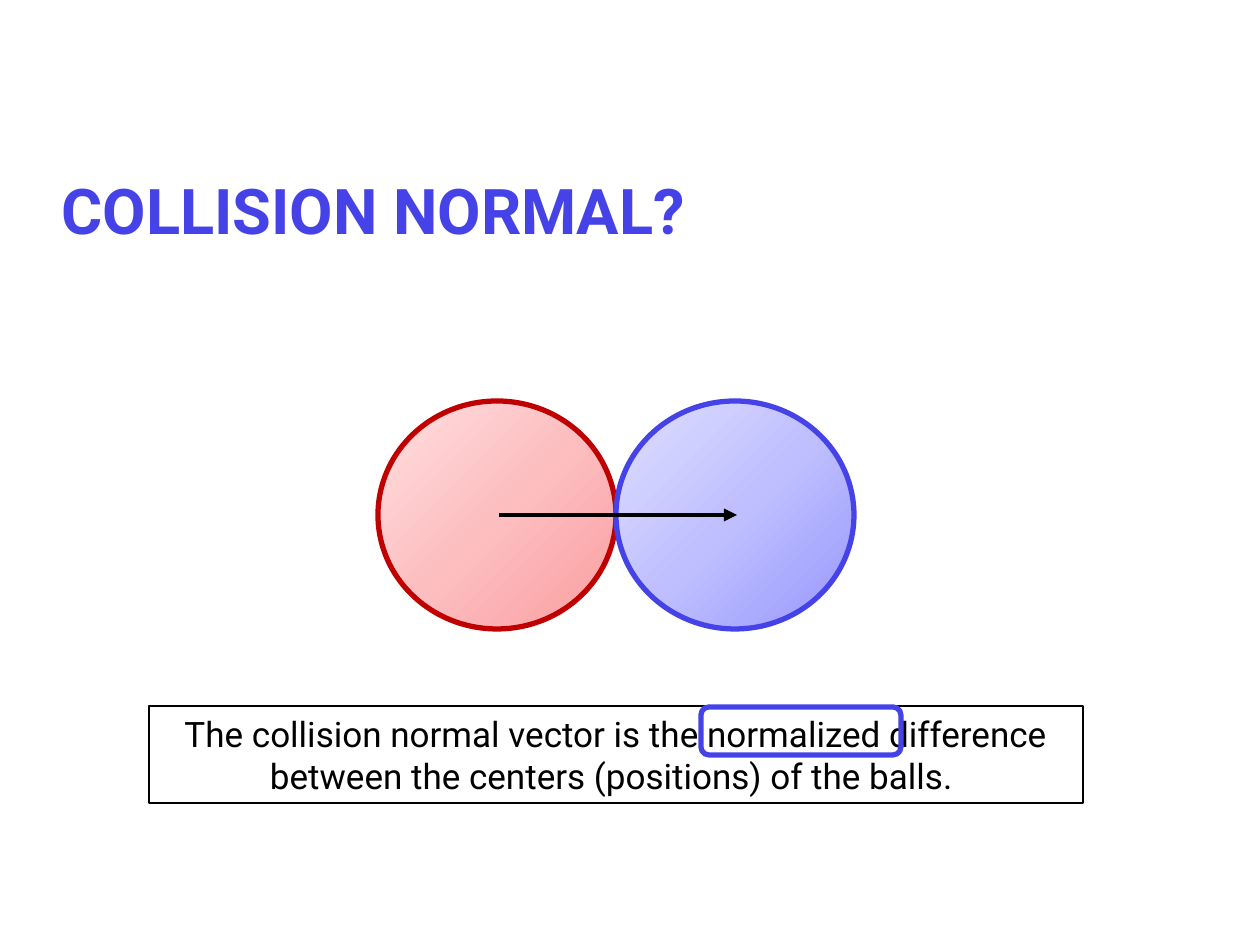
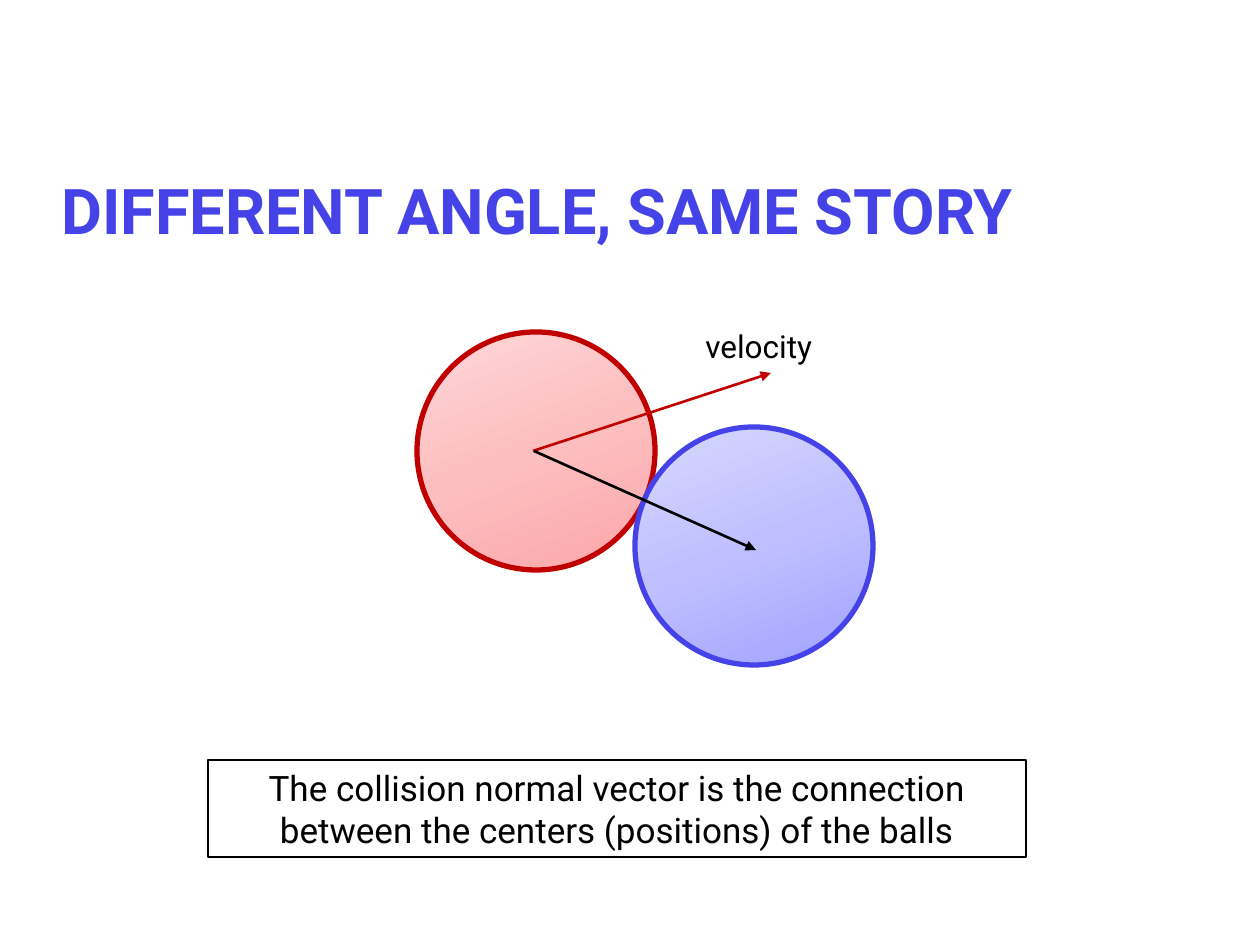
import copy

import pptx
import pptx.dml.color
import pptx.enum.shapes
import pptx.enum.text
import pptx.oxml.ns
import pptx.util
import lxml.etree

KIND = pptx.enum.shapes.MSO_SHAPE
ALIGN = pptx.enum.text.PP_ALIGN
ANCHOR = pptx.enum.text.MSO_ANCHOR
FONT = "Roboto"
BLACK, BLUE, RED = "000000", "4543E8", "C00000"
PINKS = ("FB9EA1", "FDBEC0", "FEDFE0")
LILACS = ("9797FF", "BFBFFF", "DFDFFF")


def px(*sizes):
    """Turn pixels, 126 to the inch, into EMU."""
    return [pptx.util.Emu(round(size * 914400 / 126)) for size in sizes]


def hue(code):
    """Turn a hex string into a colour."""
    return pptx.dml.color.RGBColor.from_string(code)


def sub(node, tag, **attrs):
    """Add a drawing element under a node."""
    return lxml.etree.SubElement(node, pptx.oxml.ns.qn(tag), **attrs)


def edge(line, color, width):
    """Set the colour and width of a line."""
    line.color.rgb = hue(color)
    line.width = pptx.util.Pt(width)


def write(shape, text, size=20, color=BLACK, bold=False, align=ALIGN.LEFT,
          anchor=ANCHOR.TOP, wrap=True):
    """Put formatted text into a shape."""
    body = shape.text_frame
    body.word_wrap = wrap
    body.vertical_anchor = anchor
    para = body.paragraphs[0]
    para.alignment = align
    run = para.add_run()
    run.text = text
    run.font.name = FONT
    run.font.size = pptx.util.Pt(size)
    run.font.bold = bold
    run.font.color.rgb = hue(color)


def label(slide, box, text, **style):
    """Add a text box."""
    write(slide.shapes.add_textbox(*px(*box)), text, **style)


def title(slide, text):
    """Add the slide title."""
    label(slide, (49, 130, 1134, 158), text, size=36, color=BLUE, bold=True,
          anchor=ANCHOR.MIDDLE)


def frame(slide, kind, box, color, width):
    """Add an unfilled shape with an outline."""
    shape = slide.shapes.add_shape(kind, *px(*box))
    shape.shadow.inherit = False
    shape.fill.background()
    edge(shape.line, color, width)
    return shape


def note(slide, box, text):
    """Add a framed, centred statement."""
    write(frame(slide, KIND.RECTANGLE, box, BLACK, 0.75), text,
          align=ALIGN.CENTER)


def ball(slide, box, color, shades, turn=0):
    """Add a ball that shades from dark at lower right to light."""
    shape = frame(slide, KIND.OVAL, box, color, 3)
    shape.rotation = turn
    shape.fill.gradient()
    shape.fill.gradient_angle = 135
    stops = next(shape.element.iter(pptx.oxml.ns.qn("a:gsLst")))
    stops.append(copy.deepcopy(stops[0]))
    for i, (stop, shade) in enumerate(zip(shape.fill.gradient_stops, shades)):
        stop.position = i / 2
        stop.color.rgb = hue(shade)


def arrow(slide, start, end, color=BLACK, width=1.5):
    """Add a straight arrow."""
    line = slide.shapes.add_connector(
        pptx.enum.shapes.MSO_CONNECTOR.STRAIGHT, *px(*start, *end))
    edge(line.line, color, width)
    props = line.element.spPr
    sub(props.find(pptx.oxml.ns.qn("a:ln")), "a:tailEnd", type="triangle")
    sub(props, "a:effectLst")


def normal(slide):
    """Draw the slide on the collision normal."""
    title(slide, "COLLISION NORMAL?")
    ball(slide, (378, 401, 238, 228), RED, PINKS)
    ball(slide, (616, 401, 238, 228), BLUE, LILACS)
    arrow(slide, (499, 515), (737, 515), width=2.5)
    note(slide, (149, 706, 934, 97),
         "The collision normal vector is the normalized difference "
         "between the centers (positions) of the balls. ")
    frame(slide, KIND.ROUNDED_RECTANGLE, (701, 707, 200, 48), BLUE, 3)


def angle(slide):
    """Draw the slide on a slanted collision."""
    title(slide, "DIFFERENT ANGLE, SAME STORY")
    ball(slide, (417, 332, 238, 238), RED, PINKS, turn=23.5)
    ball(slide, (635, 427, 238, 238), BLUE, LILACS, turn=23.5)
    arrow(slide, (533, 451), (771, 373), color=RED)
    label(slide, (693, 321, 140, 53), "velocity", size=18, wrap=False)
    arrow(slide, (534, 451), (756, 550))
    note(slide, (208, 760, 818, 97),
         "The collision normal vector is the connection "
         "between the centers (positions) of the balls")


def main():
    """Build and save the deck."""
    deck = pptx.Presentation()
    deck.slide_width, deck.slide_height = px(1260, 945)
    for draw in (normal, angle):
        draw(deck.slides.add_slide(deck.slide_layouts[6]))
    deck.save("out.pptx")


if __name__ == "__main__":
    main()
